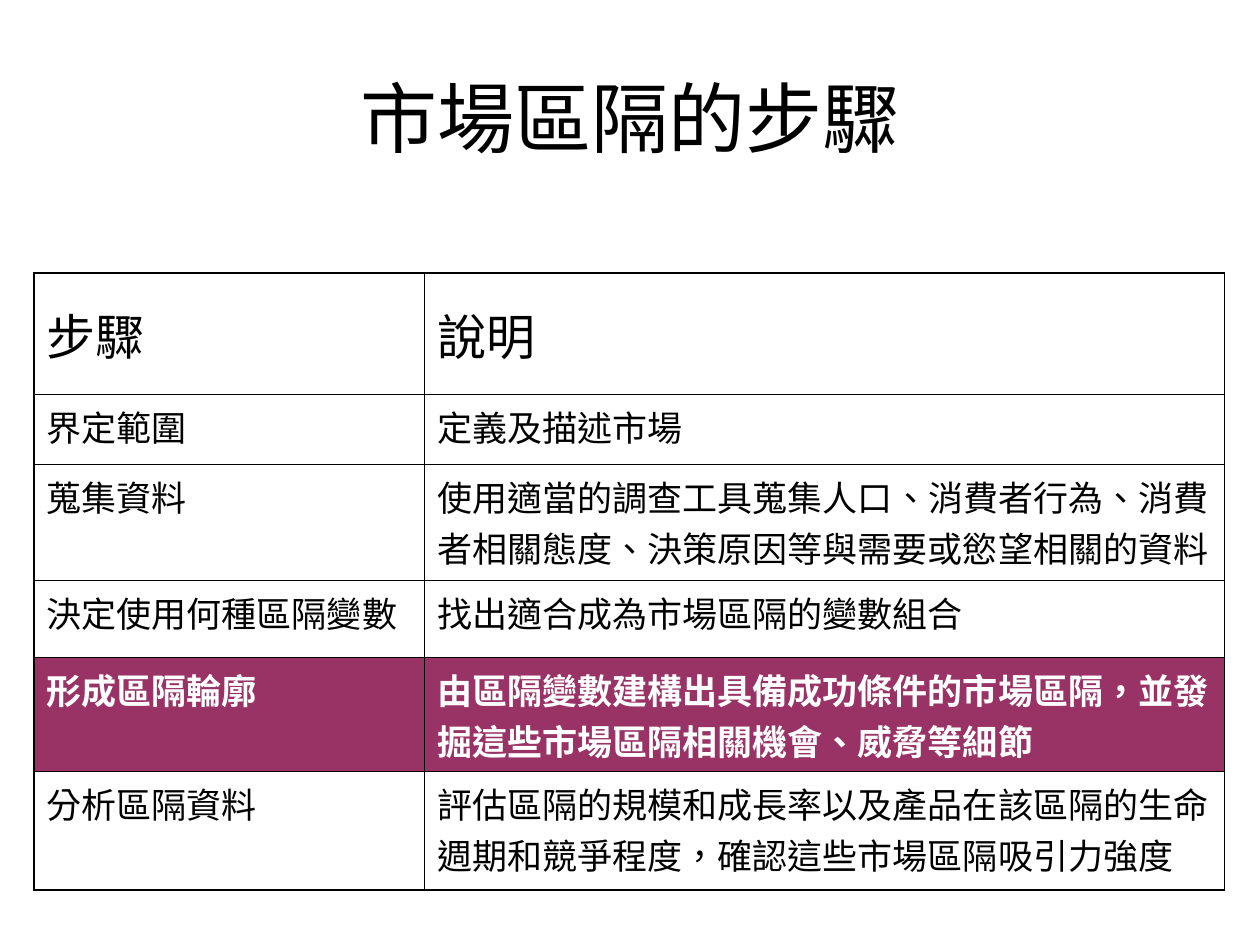
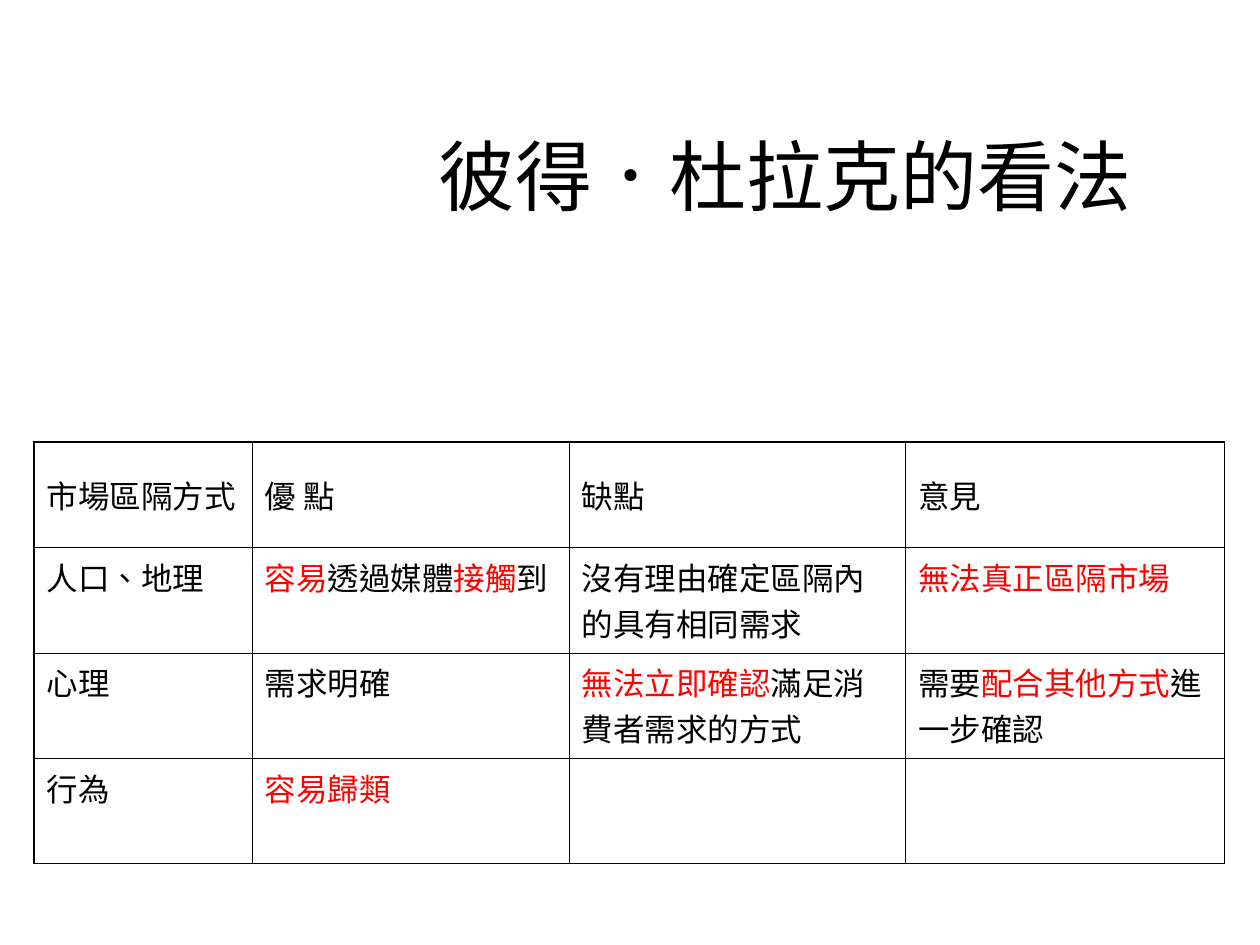
from dataclasses import dataclass
from typing import Any

from lxml import etree
from pptx import Presentation
from pptx.dml.color import RGBColor
from pptx.enum.lang import MSO_LANGUAGE_ID
from pptx.enum.text import MSO_ANCHOR, MSO_AUTO_SIZE, PP_ALIGN
from pptx.oxml.ns import qn
from pptx.slide import Slide
from pptx.util import Pt

CENTER = PP_ALIGN.CENTER
LEFT = PP_ALIGN.LEFT
TOP = MSO_ANCHOR.TOP
MIDDLE = MSO_ANCHOR.MIDDLE
NO_AUTOFIT = MSO_AUTO_SIZE.NONE
TRADITIONAL_CHINESE = MSO_LANGUAGE_ID.TRADITIONAL_CHINESE
TITLE_ONLY = 5


@dataclass(frozen=True)
class Theme:
    """Colours, fonts, type sizes and line widths of both slides."""

    ink: str = "000000"
    paper: str = "FFFFFF"
    alert: str = "FF0000"
    highlight: str = "993366"
    latin: str = "Arial"
    traditional: str = "Noto Sans CJK TC"
    simplified: str = "Noto Sans CJK SC"
    title_size: float = 44
    heading_size: float = 28
    step_size: float = 20
    view_size: float = 18
    outer_line: float = 1.08
    inner_line: float = 0.45


THEME = Theme()


@dataclass(frozen=True)
class Piece:
    """A stretch of text that may depart from the font and colour of its cell."""

    text: str
    font: str = ""
    color: str = ""


@dataclass(frozen=True)
class RowStyle:
    """The look of one table row."""

    size: float
    space_before: float
    anchor: MSO_ANCHOR = TOP
    color: str = THEME.ink
    fill: str = ""
    bold: bool = False


@dataclass(frozen=True)
class Row:
    """One table row with its height, look and cell texts."""

    height: float
    style: RowStyle
    cells: tuple[str | tuple[Piece, ...], ...]


@dataclass(frozen=True)
class TableSlide:
    """A slide with a title and a table."""

    title: str
    title_font: str
    title_box: tuple[float, float, float, float]
    table_top: float
    columns: tuple[float, ...]
    column_fonts: tuple[str, ...]
    rows: tuple[Row, ...]


TABLE_LEFT = 19.4
STEP_HEADING = RowStyle(THEME.heading_size, 7, MIDDLE)
STEP = RowStyle(THEME.step_size, 5, fill=THEME.paper)
STEP_PLAIN = RowStyle(THEME.step_size, 5)
STEP_ACTIVE = RowStyle(THEME.step_size, 5, color=THEME.paper, fill=THEME.highlight, bold=True)
VIEW_HEADING = RowStyle(THEME.view_size, 4.5, MIDDLE)
VIEW = RowStyle(THEME.view_size, 4.5)
VIEW_HEIGHT = 60.2


def red(text: str) -> Piece:
    """Return a piece of text in the alert colour."""
    return Piece(text, color=THEME.alert)


SLIDES = (
    TableSlide(
        "市場區隔的步驟",
        THEME.simplified,
        (36, 21.6, 648, 90),
        156.2,
        (223.2, 457.2),
        (THEME.traditional, THEME.latin),
        (
            Row(69.1, STEP_HEADING, ("步驟", "說明")),
            Row(40.3, STEP, ("界定範圍", "定義及描述市場")),
            Row(66.2, STEP, ("蒐集資料", (
                Piece("使用"),
                Piece("適當的調查工具蒐集人口", THEME.traditional),
                Piece("、消費者行為、消費者相關態度、決策原因等與需要或慾望相關的資料"),
            ))),
            Row(43.9, STEP, ("決定使用何種區隔變數", "找出適合成為市場區隔的變數組合")),
            Row(59, STEP_ACTIVE, ("形成區隔輪廓", (
                Piece("由"),
                Piece("區隔變數建構出具備成功條件的市場區隔", THEME.traditional),
                Piece("，並發掘這些市場區隔相關機會、威脅等細節"),
            ))),
            Row(67.7, STEP_PLAIN, (
                "分析區隔資料",
                "評估區隔的規模和成長率以及產品在該區隔的生命週期和競爭程度，確認這些市場區隔吸引力強度",
            )),
        ),
    ),
    TableSlide(
        "彼得．杜拉克的看法",
        THEME.latin,
        (212.4, 54.7, 472.3, 90),
        252.7,
        (124.6, 181.4, 192.2, 182.2),
        (THEME.simplified,) * 4,
        (
            Row(VIEW_HEIGHT, VIEW_HEADING, ("市場區隔方式", "優 點", "缺點", "意見")),
            Row(VIEW_HEIGHT, VIEW, (
                "人口、地理",
                (red("容易"), Piece("透過媒體"), red("接觸"), Piece("到")),
                "沒有理由確定區隔內的具有相同需求",
                (red("無法真正區隔市場"),),
            )),
            Row(VIEW_HEIGHT, VIEW, (
                "心理",
                "需求明確",
                (red("無法立即確認"), Piece("滿足消費者需求的方式")),
                (Piece("需要"), red("配合其他方式"), Piece("進一步確認")),
            )),
            Row(VIEW_HEIGHT, VIEW, ("行為", (red("容易歸類"),), "", "")),
        ),
    ),
)


def apply_format(target: Any, values: dict[str, Any]) -> None:
    """Set each named attribute of the target."""
    for name, value in values.items():
        setattr(target, name, value)


def add_run(paragraph: Any, text: str, font: str, size: float, color: str, bold: bool) -> None:
    """Add a formatted run with a matching East Asian font."""
    run = paragraph.add_run()
    run.text = text
    apply_format(run.font, {
        "name": font,
        "size": Pt(size),
        "bold": bold,
        "language_id": TRADITIONAL_CHINESE,
    })
    run.font.color.rgb = RGBColor.from_string(color)
    east_asian = THEME.traditional if font == THEME.latin else font
    properties = run._r.get_or_add_rPr()
    etree.SubElement(properties, qn("a:ea"), typeface=east_asian)


def add_border(cell: Any, side: str, width: float) -> None:
    """Draw one solid border of a cell."""
    properties = cell._tc.get_or_add_tcPr()
    line = etree.SubElement(properties, qn(f"a:ln{side}"), w=str(Pt(width)))
    fill = etree.SubElement(line, qn("a:solidFill"))
    etree.SubElement(fill, qn("a:srgbClr"), val=THEME.ink)


def fill_cell(cell: Any, content: str | tuple[Piece, ...], style: RowStyle, font: str) -> None:
    """Write the text of a cell and set its fill."""
    cell.vertical_anchor = style.anchor
    if style.fill:
        cell.fill.solid()
        cell.fill.fore_color.rgb = RGBColor.from_string(style.fill)
    else:
        cell.fill.background()
    paragraph = cell.text_frame.paragraphs[0]
    apply_format(paragraph, {"alignment": LEFT, "space_before": Pt(style.space_before)})
    paragraph.font.size = Pt(style.size)
    pieces = (Piece(content),) if isinstance(content, str) else content
    for piece in pieces:
        if piece.text:
            add_run(paragraph, piece.text, piece.font or font, style.size,
                    piece.color or style.color, style.bold)


def add_title(slide: Slide, content: TableSlide) -> None:
    """Place and format the title placeholder."""
    title = slide.shapes.title
    names = ("left", "top", "width", "height")
    apply_format(title, dict(zip(names, map(Pt, content.title_box))))
    apply_format(title.text_frame, {
        "word_wrap": True,
        "auto_size": NO_AUTOFIT,
        "vertical_anchor": MIDDLE,
    })
    paragraph = title.text_frame.paragraphs[0]
    paragraph.alignment = CENTER
    add_run(paragraph, content.title, content.title_font, THEME.title_size, THEME.ink, False)


def add_bordered_table(slide: Slide, content: TableSlide) -> None:
    """Add the table with heavier lines around its outside."""
    row_count, column_count = len(content.rows), len(content.columns)
    frame = slide.shapes.add_table(
        row_count, column_count, Pt(TABLE_LEFT), Pt(content.table_top),
        Pt(sum(content.columns)), Pt(sum(row.height for row in content.rows)),
    )
    table = frame.table
    apply_format(table, {"first_row": False, "horz_banding": False})
    for column, width in zip(table.columns, content.columns):
        column.width = Pt(width)
    for row_index, row in enumerate(content.rows):
        table.rows[row_index].height = Pt(row.height)
        for column_index, text in enumerate(row.cells):
            cell = table.cell(row_index, column_index)
            outer_sides = {
                "L": column_index == 0,
                "R": column_index == column_count - 1,
                "T": row_index == 0,
                "B": row_index == row_count - 1,
            }
            for side, is_outer in outer_sides.items():
                add_border(cell, side, THEME.outer_line if is_outer else THEME.inner_line)
            fill_cell(cell, text, row.style, content.column_fonts[column_index])


def main() -> None:
    """Build the presentation and save it."""
    presentation = Presentation()
    apply_format(presentation, {"slide_width": Pt(720), "slide_height": Pt(540)})
    for content in SLIDES:
        slide = presentation.slides.add_slide(presentation.slide_layouts[TITLE_ONLY])
        slide.background.fill.solid()
        slide.background.fill.fore_color.rgb = RGBColor.from_string(THEME.paper)
        add_title(slide, content)
        add_bordered_table(slide, content)
    presentation.save("out.pptx")


if __name__ == "__main__":
    main()
